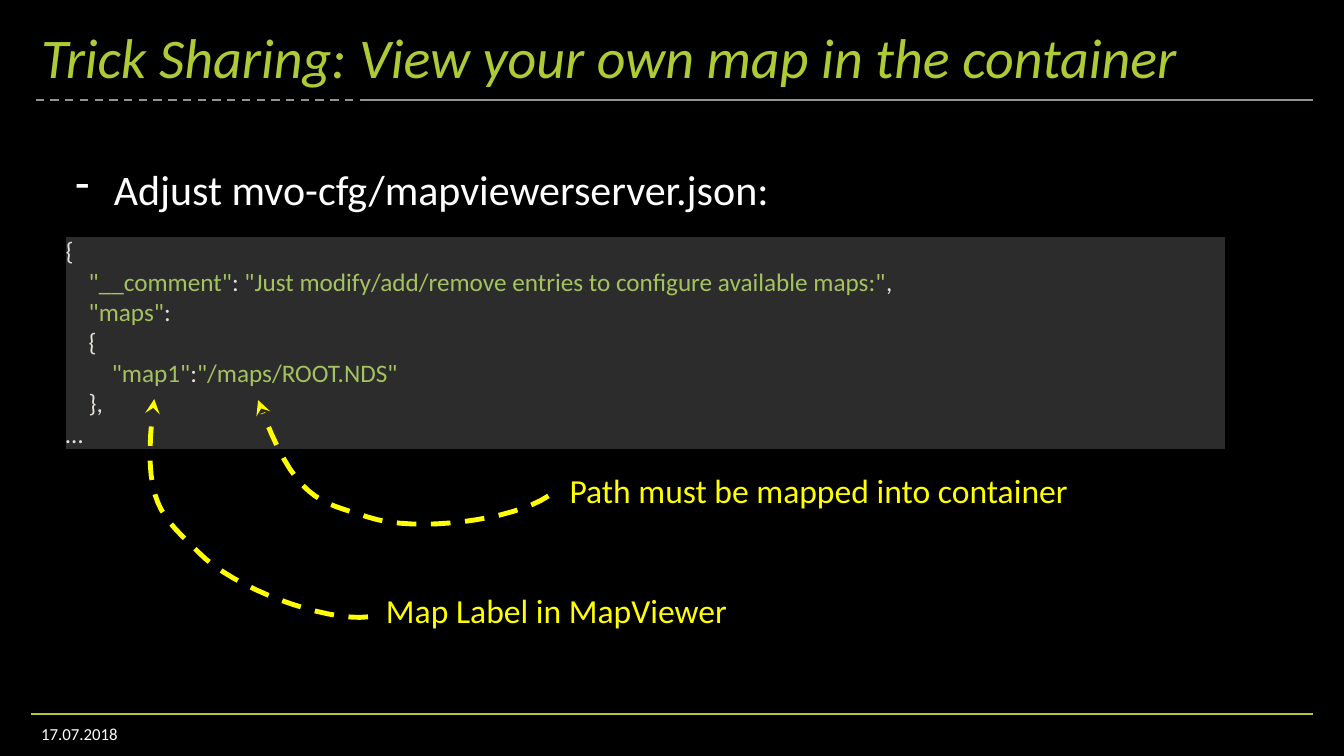
from pptx import Presentation, util as u
from pptx.dml.color import RGBColor
from pptx.enum import dml, shapes, text
from pptx.oxml.ns import qn
from lxml import etree

THEME = {
    "font": "Calibri", "title": 40, "bullet": 30, "note": 24, "code": 18, "date": 12,
    "back": "000000", "accent": "AECB35", "rule": "8F968F", "plain": "FFFFFF", "mark": "FFFF00",
    "panel": "2C2C2C", "syntax": "E6E1DC", "string": "A5C261",
}
LEFT, RIGHT, TITLE_RULE, FOOT_RULE = 0.31, 13.02, 0.99, 7.08
CODE_LEFT, CODE_TOP, CODE_WIDTH, CODE_ROW, CODE_INDENT = 0.65, 2.35, 11.5, 0.3, 0.23


def color(name):
    return RGBColor.from_string(THEME[name])


def add_run(paragraph, words, size, tint, italic=False):
    run = paragraph.add_run()
    run.text = words
    for name, value in {"name": THEME["font"], "size": u.Pt(THEME[size]), "italic": italic}.items():
        setattr(run.font, name, value)
    run.font.color.rgb = color(tint)


prs = Presentation()
prs.slide_width, prs.slide_height = u.Inches(13.33), u.Inches(7.5)
slide = prs.slides.add_slide(prs.slide_layouts[6])
slide.background.fill.solid()
slide.background.fill.fore_color.rgb = color("back")

# Rules under the title and above the date
for start, end, y, tint, dash in [
    (RIGHT, 3.65, TITLE_RULE, "rule", None),
    (3.65, LEFT, TITLE_RULE, "rule", dml.MSO_LINE.DASH),
    (RIGHT, LEFT, FOOT_RULE, "accent", None),
]:
    rule = slide.shapes.add_connector(
        shapes.MSO_CONNECTOR.STRAIGHT, *(u.Inches(v) for v in (start, y, end, y)))
    rule.line.color.rgb = color(tint)
    rule.line.width = u.Pt(1.5)
    rule.line.dash_style = dash
    etree.SubElement(rule._element.spPr, qn("a:effectLst"))

# Title, date, bullet and notes
middle, top = text.MSO_ANCHOR.MIDDLE, text.MSO_ANCHOR.TOP
for words, box, size, tint, anchor in [
    ("Trick Sharing: View your own map in the container",
     (LEFT, 0.2, 12.11, 0.79), "title", "accent", middle),
    ("17.07.2018", (LEFT, FOOT_RULE, 3, 0.4), "date", "plain", middle),
    ("Adjust mvo-cfg/mapviewerserver.json:",
     (CODE_LEFT, 1.57, 12.19, 1.11), "bullet", "plain", top),
    ("Path must be mapped into container", (5.55, 4.61, 5.35, 0.5), "note", "mark", top),
    ("Map Label in MapViewer", (3.73, 5.8, 5.35, 0.5), "note", "mark", top),
]:
    frame = slide.shapes.add_textbox(*map(u.Inches, box)).text_frame
    frame.word_wrap = True
    frame.vertical_anchor = anchor
    paragraph = frame.paragraphs[0]
    add_run(paragraph, words, size, tint, italic=size == "title")
    if size == "title":
        paragraph.line_spacing = 0.9
    if size == "bullet":
        props = paragraph._p.get_or_add_pPr()
        props.set("marL", str(u.Inches(0.38)))
        props.set("indent", str(u.Inches(-0.38)))
        etree.SubElement(props, qn("a:buChar"), char="-")

# Code listing: each row holds lines of (indent level, runs); quoted runs are strings
code_rows = [
    [(0, ["{"])],
    [(1, ['"__comment"', ": ",
          '"Just modify/add/remove entries to configure available maps:"', ","])],
    [(1, ['"maps"', ":"])],
    [(1, ["{"])],
    [(2, ['"map1"', ":", '"/maps/ROOT.NDS"'])],
    [(1, ["},"]), (0, ["…"])],
]
line_count = sum(map(len, code_rows))
listing = slide.shapes.add_table(
    len(code_rows), 1, u.Inches(CODE_LEFT), u.Inches(CODE_TOP),
    u.Inches(CODE_WIDTH), u.Inches(CODE_ROW * line_count)).table
listing.first_row = listing.horz_banding = False
no_style = "{2D5ABB26-0587-4C30-8999-92F81FD0307C}"
listing._tbl.tblPr.find(qn("a:tableStyleId")).text = no_style
for row, lines in enumerate(code_rows):
    listing.rows[row].height = u.Inches(CODE_ROW * len(lines))
    cell = listing.cell(row, 0)
    cell.fill.solid()
    cell.fill.fore_color.rgb = color("panel")
    for side in ("left", "right", "top", "bottom"):
        setattr(cell, f"margin_{side}", 0)
    for number, (level, parts) in enumerate(lines):
        frame = cell.text_frame
        paragraph = frame.add_paragraph() if number else frame.paragraphs[0]
        paragraph._p.get_or_add_pPr().set("marL", str(u.Inches(CODE_INDENT * level)))
        for part in parts:
            add_run(paragraph, part, "code", "string" if part.startswith('"') else "syntax")

# Curved arrows: two cubic Bézier spans each, sampled into short steps
STEPS = 16
for knots in [
    [(5.44, 4.92), (5.09, 5.16), (4.13, 5.29), (3.65, 5.13),
     (3.17, 4.97), (2.93, 4.99), (2.56, 3.97)],
    [(3.65, 6.12), (3.23, 6.17), (2.32, 5.84), (1.97, 5.48),
     (1.62, 5.12), (1.39, 5.03), (1.53, 3.96)],
]:
    points = []
    for first in (0, 3):
        for step in range(1, STEPS + 1):
            t = step / STEPS
            weights = ((1 - t) ** 3, 3 * t * (1 - t) ** 2, 3 * t ** 2 * (1 - t), t ** 3)
            span = knots[first:first + 4]
            points.append(tuple(
                u.Inches(sum(w * knot[axis] for w, knot in zip(weights, span)))
                for axis in (0, 1)))
    outline = slide.shapes.build_freeform(*map(u.Inches, knots[0]))
    outline.add_line_segments(points, close=False)
    arrow = outline.convert_to_shape()
    arrow.shadow.inherit = False
    arrow.fill.background()
    arrow.line.color.rgb = color("mark")
    arrow.line.width = u.Pt(3.5)
    arrow.line.dash_style = dml.MSO_LINE.DASH
    etree.SubElement(arrow.line._get_or_add_ln(), qn("a:tailEnd"), type="stealth")

prs.save("out.pptx")
